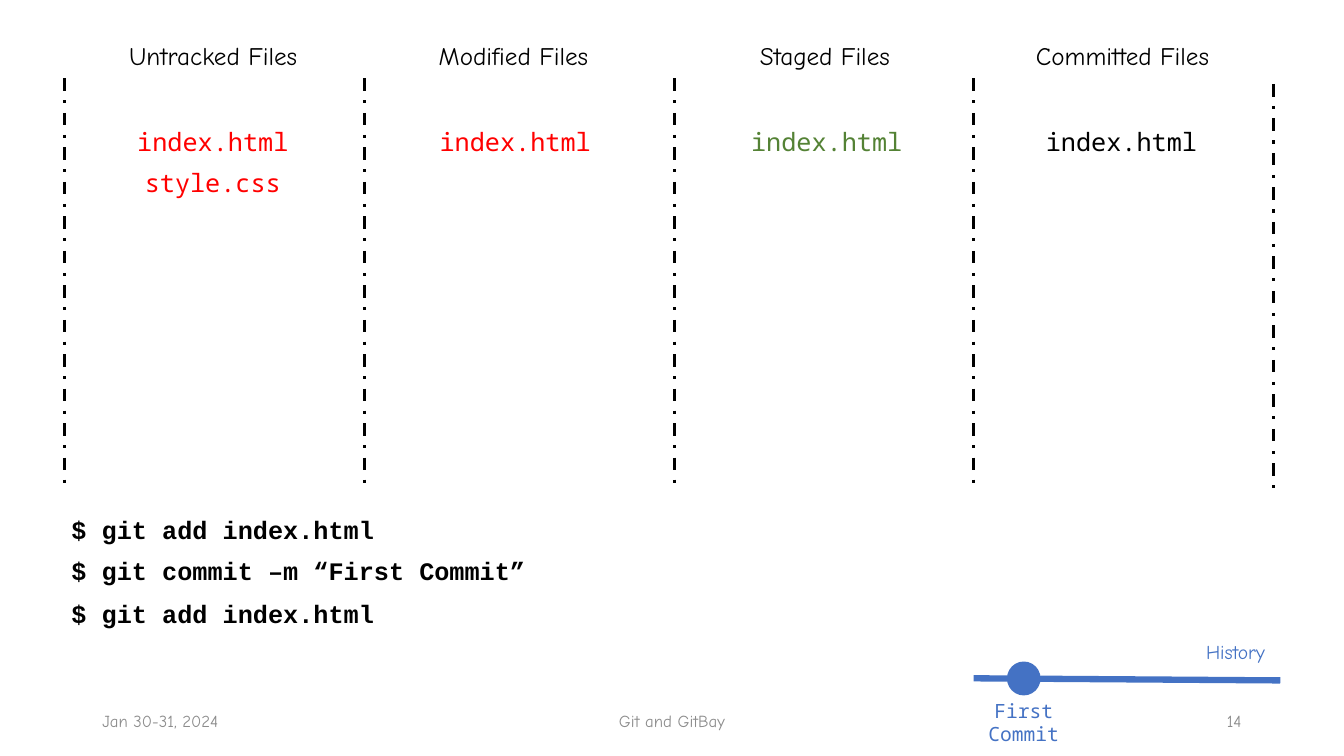
from lxml.etree import SubElement
from pptx import Presentation
from pptx.dml.color import RGBColor
from pptx.enum.dml import MSO_LINE
from pptx.enum.shapes import MSO_CONNECTOR, MSO_SHAPE
from pptx.enum.text import MSO_ANCHOR, PP_ALIGN
from pptx.oxml.ns import qn
from pptx.util import Pt

COLORS = {
    "black": "000000",
    "red": "FF0000",
    "green": "548235",
    "blue": "4472C4",
    "gray": "8C8C8C",
}
HEADING = {"name": "Comic Neue", "size": Pt(18)}
FILE = {"name": "Noto Sans Mono", "size": Pt(18)}
COMMAND = {"name": "Courier New", "size": Pt(18), "bold": True}
FOOTER = {"name": "Comic Neue", "size": Pt(12)}
HISTORY = {"name": "Comic Neue", "size": Pt(14)}
COMMIT = {"name": "Noto Sans Mono", "size": Pt(14)}

deck = Presentation()
deck.slide_width, deck.slide_height = Pt(960), Pt(540)
slide = deck.slides.add_slide(deck.slide_layouts[6])


def add_label(words, left, top, width, height, style, color="black",
              align=PP_ALIGN.CENTER, anchor=MSO_ANCHOR.TOP):
    frame = slide.shapes.add_textbox(Pt(left), Pt(top), Pt(width), Pt(height)).text_frame
    frame.word_wrap = True
    frame.vertical_anchor = anchor
    paragraph = frame.paragraphs[0]
    paragraph.alignment = align
    run = paragraph.add_run()
    run.text = words
    for key, value in style.items():
        setattr(run.font, key, value)
    run.font.color.rgb = RGBColor.from_string(COLORS[color])


def add_rule(x1, y1, x2, y2, color, width, dash=None):
    rule = slide.shapes.add_connector(
        MSO_CONNECTOR.STRAIGHT, Pt(x1), Pt(y1), Pt(x2), Pt(y2))
    rule.line.color.rgb = RGBColor.from_string(COLORS[color])
    rule.line.width = Pt(width)
    if dash:
        rule.line.dash_style = dash
    SubElement(rule._element.spPr, qn("a:effectLst"))


footers = [
    ("Jan 30-31, 2024", 66, 216, PP_ALIGN.LEFT),
    ("Git and GitBay", 318, 324, PP_ALIGN.CENTER),
    ("14", 678, 216, PP_ALIGN.RIGHT),
]
for words, left, width, align in footers:
    add_label(words, left, 500.5, width, 28.75, FOOTER, "gray", align, MSO_ANCHOR.MIDDLE)

for x, top in [(46, 56), (260.5, 56), (481.5, 56), (695.5, 56), (909.5, 60)]:
    add_rule(x, top, x, top + 289.5, "black", 2.25, MSO_LINE.DASH_DOT)

stages = [
    ("Untracked Files", 46, 46, "red", ["index.html", "style.css"]),
    ("Modified Files", 260.5, 262, "red", ["index.html"]),
    ("Staged Files", 483, 484.5, "green", ["index.html"]),
    ("Committed Files", 695.5, 695, "black", ["index.html"]),
]
for heading, heading_left, file_left, color, files in stages:
    add_label(heading, heading_left, 25, 212.5, 29, HEADING)
    for row, file in enumerate(files):
        add_label(file, file_left, 87 + 29 * row, 212, 29, FILE, color)

commands = [
    ("$ git add index.html", 363.5),
    ("$ git commit –m “First Commit”", 393),
    ("$ git add index.html", 424),
]
for command, top in commands:
    add_label(command, 44, top, 351.5, 29, COMMAND, align=PP_ALIGN.LEFT)

add_rule(695.5, 484.5, 914.5, 486, "blue", 4.5)
add_label("History", 849, 453.5, 67, 24.25, HISTORY, "blue")
commit = slide.shapes.add_shape(MSO_SHAPE.OVAL, Pt(719.25), Pt(472.5), Pt(24), Pt(24.25))
commit.shadow.inherit = False
commit.fill.solid()
commit.fill.fore_color.rgb = RGBColor.from_string(COLORS["blue"])
commit.line.fill.background()
add_label("First Commit", 674, 495.5, 114.5, 24.25, COMMIT, "blue")

deck.save("out.pptx")
